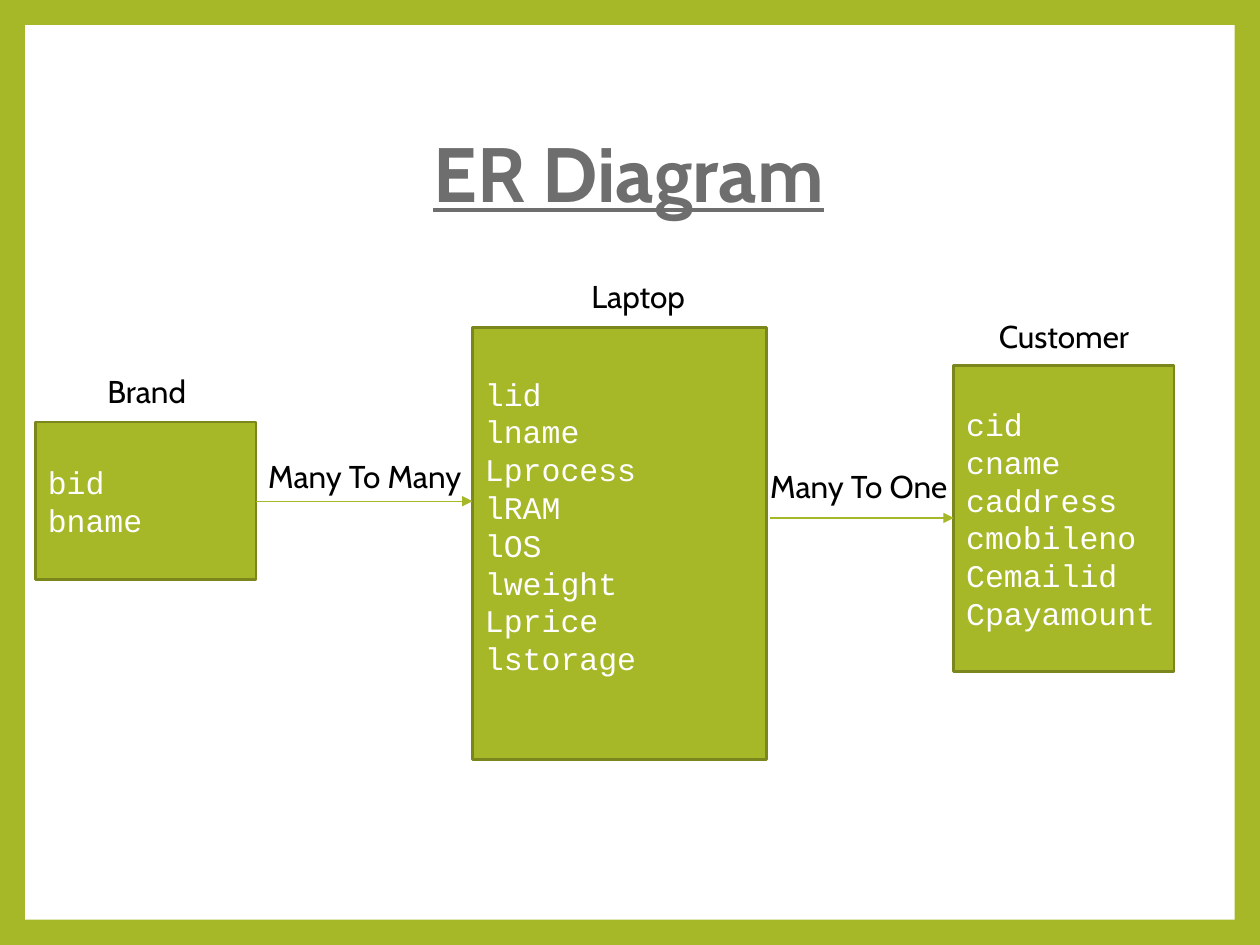
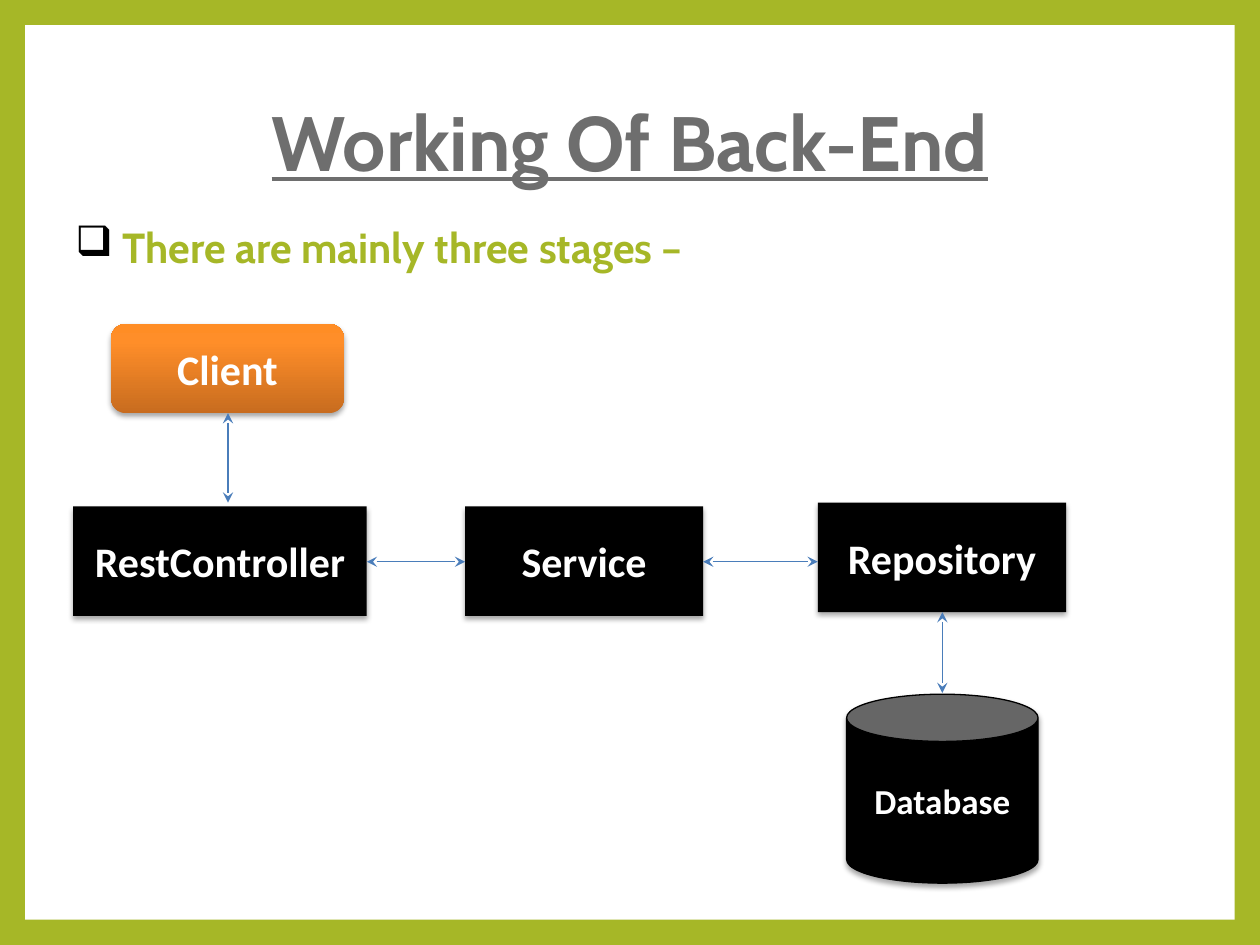
"""Build two slides: an ER diagram and a back-end flow."""
from dataclasses import dataclass
from lxml.etree import SubElement
from pptx import Presentation
from pptx.dml.color import RGBColor
from pptx.enum.shapes import MSO_CONNECTOR, MSO_SHAPE
from pptx.enum.text import MSO_ANCHOR, MSO_AUTO_SIZE, PP_ALIGN
from pptx.oxml import parse_xml
from pptx.oxml.ns import nsdecls, qn
from pptx.util import Pt


@dataclass(frozen=True)
class Theme:
    """Colours, fonts and type sizes shared by the slides."""
    green: str = "A6B727"
    dark_green: str = "7B871D"
    grey: str = "6E6E6E"
    blue: str = "4A7DBA"
    black: str = "000000"
    white: str = "FFFFFF"
    orange: tuple = ((0, "C86C1F"), (80, "FF8E29"), (100, "FF8D25"))
    head_font: str = "Cabin"
    code_font: str = "Courier New"
    node_font: str = "Calibri"
    title: int = 44
    body: int = 24
    small: int = 20
    label: int = 18


T = Theme()


def rgb(color):
    """Turn a hex string into a colour."""
    return RGBColor.from_string(color)


def inside(box, part):
    """Place a part, given relative to a box, on the slide."""
    return box[0] + part[0], box[1] + part[1], part[2], part[3]


def write(tf, lines, font, size, color, bold=False, underline=False,
          align=PP_ALIGN.CENTER, spacing=None):
    """Fill a text frame with one paragraph per line."""
    tf.word_wrap = True
    for i, line in enumerate(lines):
        p = tf.add_paragraph() if i else tf.paragraphs[0]
        p.alignment = align
        if spacing:
            p.line_spacing = spacing
        r = p.add_run()
        r.text = line
        r.font.name, r.font.size = font, Pt(size)
        r.font.bold, r.font.underline = bold, underline
        r.font.color.rgb = rgb(color)


def add_text(s, box, text, size, color, **style):
    """Add a text box in the heading font."""
    tf = s.shapes.add_textbox(*map(Pt, box)).text_frame
    write(tf, [text], T.head_font, size, color, **style)
    return tf


def add_label(s, box, text):
    """Add a small black caption that grows with its text."""
    tf = add_text(s, box, text, T.label, T.black)
    tf.auto_size = MSO_AUTO_SIZE.SHAPE_TO_FIT_TEXT


def add_box(s, kind, box, fill, line=None, width=0.75):
    """Add a flat preset shape with a solid or gradient fill."""
    sp = s.shapes.add_shape(kind, *map(Pt, box))
    sp.shadow.inherit = False
    if isinstance(fill, str):
        sp.fill.solid()
        sp.fill.fore_color.rgb = rgb(fill)
    else:
        stops = "".join(f'<a:gs pos="{pos * 1000}"><a:srgbClr val="{c}"/></a:gs>'
                        for pos, c in fill)
        grad = (f'<a:gradFill {nsdecls("a")} rotWithShape="1"><a:gsLst>{stops}'
                '</a:gsLst><a:lin ang="16200000" scaled="0"/></a:gradFill>')
        sp._element.spPr.find(qn("a:prstGeom")).addnext(parse_xml(grad))
    if line:
        sp.line.color.rgb = rgb(line)
        sp.line.width = Pt(width)
    else:
        sp.line.fill.background()
    return sp


def add_arrow(s, start, end, color, head=None, tail=None):
    """Add a straight connector with arrowheads."""
    cn = s.shapes.add_connector(MSO_CONNECTOR.STRAIGHT, *map(Pt, (*start, *end)))
    cn.line.color.rgb = rgb(color)
    cn.line.width = Pt(0.75)
    ln = cn.line._get_or_add_ln()
    for tag, kind in (("a:headEnd", head), ("a:tailEnd", tail)):
        if kind:
            SubElement(ln, qn(tag), type=kind)
    SubElement(cn._element.spPr, qn("a:effectLst"))


def framed_slide(prs, title, box):
    """Add a green slide with a white panel and an underlined title."""
    s = prs.slides.add_slide(prs.slide_layouts[6])
    s.background.fill.solid()
    s.background.fill.fore_color.rgb = rgb(T.green)
    add_box(s, MSO_SHAPE.RECTANGLE, (14.4, 14.4, 691.2, 511.2), T.white)
    tf = add_text(s, box, title, T.title, T.grey, bold=True, underline=True,
                  spacing=0.9)
    tf.vertical_anchor = MSO_ANCHOR.MIDDLE
    return s


def add_entity(s, box, name, label, fields, bottom=3.6):
    """Add an entity box listing its fields, with a caption above."""
    sp = add_box(s, MSO_SHAPE.RECTANGLE, box, T.green, T.dark_green, 1.5)
    tf = sp.text_frame
    tf.vertical_anchor = MSO_ANCHOR.MIDDLE
    tf.margin_bottom = Pt(bottom)
    write(tf, fields.split(), T.code_font, T.label, T.white, align=PP_ALIGN.LEFT)
    add_label(s, inside(box, label), name)


def er_diagram(s, box):
    """Draw three entities and their relations."""
    entities = (
        ((0, 87.2, 126, 90), "Brand", (3.6, -32.4, 120, 16), "bid bname", 3.6),
        ((249.8, 33.2, 168, 247), "Laptop", (13.7, -32.4, 162, 29),
         "lid lname Lprocess lRAM lOS lweight Lprice lstorage", 24),
        ((524.8, 54.8, 126, 175), "Customer", (-18, -31, 162, 29),
         "cid cname caddress cmobileno Cemailid Cpayamount", 3.6))
    for part, name, label, fields, bottom in entities:
        add_entity(s, inside(box, part), name, label, fields, bottom)
    x, y = box[:2]
    relations = (("Many To Many", 126, 249.8, 132.4, (107.2, 103.8)),
                 ("Many To One", 419.7, 524.8, 142, (389.5, 109.5)))
    for text, left, right, level, corner in relations:
        add_arrow(s, (x + left, y + level), (x + right, y + level), T.green,
                  tail="triangle")
        add_label(s, inside(box, (*corner, 162, 29)), text)


def bullet_line(s, box, text):
    """Add a bold green line with a black box bullet."""
    tf = add_text(s, box, text, T.body, T.green, bold=True,
                  align=PP_ALIGN.LEFT, spacing=0.9)
    pPr = tf.paragraphs[0]._p.get_or_add_pPr()
    pPr.set("marL", str(Pt(27)))
    pPr.set("indent", str(-Pt(27)))
    SubElement(SubElement(pPr, qn("a:buClr")), qn("a:srgbClr"), val=T.black)
    SubElement(pPr, qn("a:buChar"), char="\u2751")


def add_node(s, kind, box, text, size=T.body, fill=T.black, line=None):
    """Add a stage with bold white text and a soft shadow."""
    sp = add_box(s, kind, box, fill, line)
    sp._element.spPr.find(qn("a:effectLst")).append(parse_xml(
        f'<a:outerShdw {nsdecls("a")} blurRad="{Pt(3.1)}" dist="{Pt(1.8)}" '
        f'dir="5400000" rotWithShape="0"><a:srgbClr val="{T.black}">'
        '<a:alpha val="35000"/></a:srgbClr></a:outerShdw>'))
    sp.text_frame.vertical_anchor = MSO_ANCHOR.MIDDLE
    write(sp.text_frame, [text], T.node_font, size, T.white, bold=True)


def backend_flow(s, box):
    """Draw the path from client to database."""
    rect = MSO_SHAPE.RECTANGLE
    for part, name in (((224, 104.4, 136, 62.6), "Service"),
                       ((425.5, 102.2, 142, 62.6), "Repository"),
                       ((0, 104.4, 167.8, 62.6), "RestController")):
        add_node(s, rect, inside(box, part), name)
    add_node(s, MSO_SHAPE.ROUNDED_RECTANGLE, inside(box, (21.6, 0, 133.2, 51.1)),
             "Client", fill=T.orange)
    add_node(s, MSO_SHAPE.CAN, inside(box, (442, 211.7, 109.4, 108)),
             "Database", T.small, line=T.black)
    x, y = box[:2]
    for x1, y1, x2, y2 in ((88.5, 51.1, 88.5, 102.2), (167.8, 136, 224, 136),
                           (360, 136, 425.5, 136), (496.7, 164.8, 496.7, 211)):
        add_arrow(s, (x + x1, y + y1), (x + x2, y + y2), T.blue,
                  "stealth", "stealth")


def main():
    """Build and save the presentation."""
    prs = Presentation()
    prs.slide_width, prs.slide_height = Pt(720), Pt(540)
    s = framed_slide(prs, "ER Diagram", (67.7, 48.2, 583.2, 106.6))
    er_diagram(s, (20.2, 154, 651, 281))
    s = framed_slide(prs, "Working Of Back-End", (36, 36, 648, 95.8))
    bullet_line(s, (36, 126, 648, 356.4), "There are mainly three stages \u2013")
    backend_flow(s, (41.8, 185, 568, 320))
    prs.save("out.pptx")


main()
